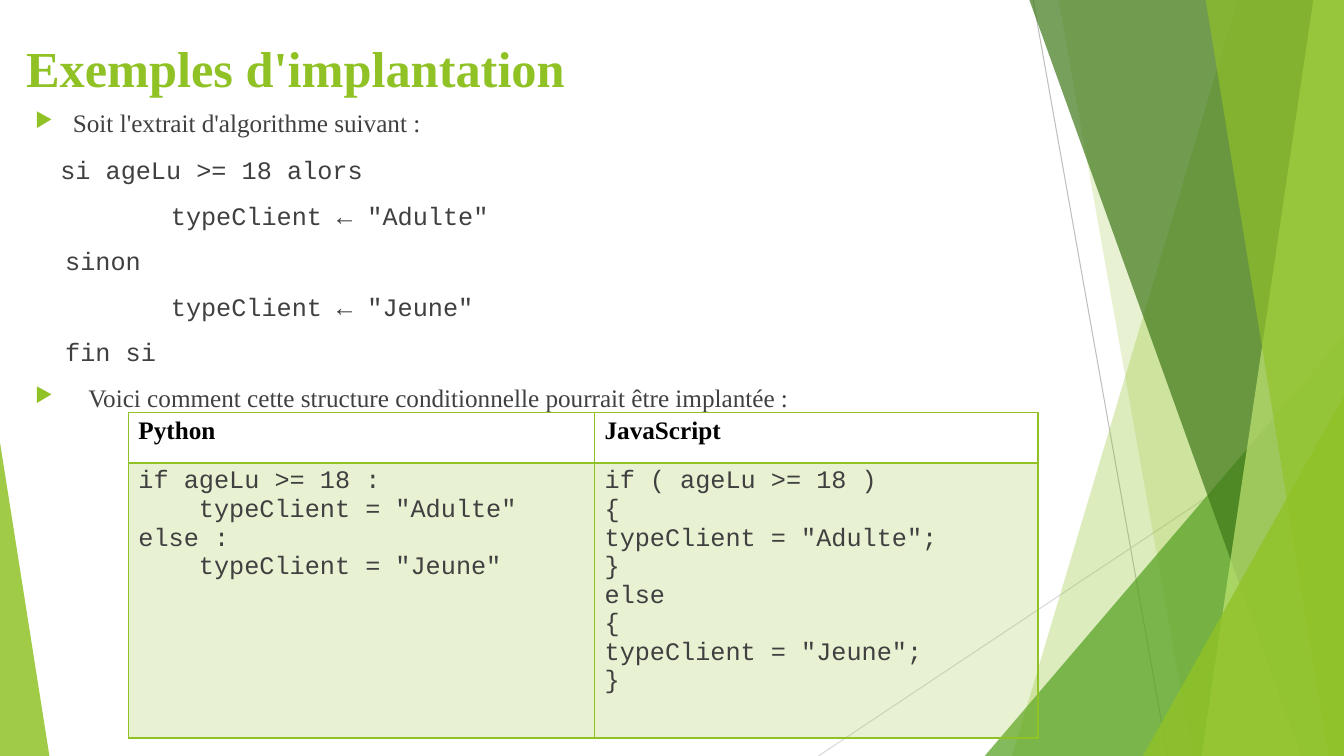
from lxml.etree import SubElement
from pptx import Presentation
from pptx.dml.color import RGBColor
from pptx.enum.shapes import MSO_CONNECTOR as Connector, MSO_SHAPE as Shape
from pptx.oxml import parse_xml
from pptx.oxml.ns import nsdecls, qn
from pptx.util import Pt

WIDTH, HEIGHT = 960, 540
GREEN, DARK, BLACK = "90C226", "404040", "000000"
SERIF, MONO = "Times New Roman", "Courier New"

# Algorithm lines: text, font, left margin, hanging indent, space before
ALGORITHM = [
    ("Soit l'extrait d'algorithme suivant :", SERIF, 27, 27, 10),
    ("si ageLu >= 18 alors", MONO, 18, 0, 12),
    ('typeClient ← "Adulte"', MONO, 97, 0, 11),
    ("sinon", MONO, 21.5, 0, 11),
    ('typeClient ← "Jeune"', MONO, 97, 0, 11),
    ("fin si", MONO, 21.5, 0, 11),
    ("Voici comment cette structure conditionnelle pourrait être implantée :",
     SERIF, 38, 38, 11),
]

# Code lines: text, indent level
PYTHON = [("if ageLu >= 18 :", 0), ('typeClient = "Adulte"', 1),
          ("else :", 0), ('typeClient = "Jeune"', 1)]
JAVASCRIPT = [(line, 0) for line in (
    "if ( ageLu >= 18 )", "{", 'typeClient = "Adulte";', "}",
    "else", "{", 'typeClient = "Jeune";', "}")]
CODE_INDENT = 43.2


def paint(fill, color, opacity=100):
    fill.solid()
    fill.fore_color.rgb = RGBColor.from_string(color)
    if opacity < 100:
        rgb = fill._xPr.find(".//" + qn("a:srgbClr"))
        SubElement(rgb, qn("a:alpha"), val=str(opacity * 1000))


def finish(shape, color, opacity):
    shape.shadow.inherit = False
    paint(shape.fill, color, opacity)
    shape.line.fill.background()


def add_ray(slide, start, end, color):
    ray = slide.shapes.add_connector(
        Connector.STRAIGHT, *(Pt(v) for v in start + end))
    paint(ray.line.fill, color)
    ray.line.width = Pt(0.75)
    SubElement(ray._element.spPr, qn("a:effectLst"))


def add_band(slide, top_x, bottom_x, color, opacity):
    """Area between a slanted edge and the right side of the slide."""
    top = Pt(-0.6)
    builder = slide.shapes.build_freeform(Pt(top_x), top)
    builder.add_line_segments([
        (Pt(WIDTH), top), (Pt(WIDTH), Pt(HEIGHT)), (Pt(bottom_x), Pt(HEIGHT))])
    finish(builder.convert_to_shape(), color, opacity)


def add_corner(slide, left, top, width, apex, color, opacity):
    """Triangle standing on the bottom edge of the slide."""
    corner = slide.shapes.add_shape(
        Shape.ISOSCELES_TRIANGLE, Pt(left), Pt(top), Pt(width), Pt(HEIGHT - top))
    corner.adjustments[0] = apex
    finish(corner, color, opacity)


def add_text_frame(slide, left, top, width, height):
    box = slide.shapes.add_textbox(Pt(left), Pt(top), Pt(width), Pt(height))
    box.text_frame.word_wrap = True
    return box.text_frame


def write(paragraph, text, font, size, color, bold=False):
    paragraph.text = text
    paragraph.font.name = font
    paragraph.font.size = Pt(size)
    paragraph.font.bold = bold
    paint(paragraph.font.fill, color)


def next_paragraph(frame, index):
    return frame.add_paragraph() if index else frame.paragraphs[0]


def indent(paragraph, margin, hanging=0):
    properties = paragraph._p.get_or_add_pPr()
    properties.set("marL", str(Pt(margin)))
    properties.set("indent", str(-Pt(hanging)))
    return properties


def add_bullet(properties):
    color = SubElement(properties, qn("a:buClr"))
    SubElement(color, qn("a:srgbClr"), val=GREEN)
    SubElement(properties, qn("a:buSzPct"), val="80000")
    SubElement(properties, qn("a:buChar"), char="▶")


def set_borders(cell, top, bottom):
    properties = cell._tc.get_or_add_tcPr()
    sides = [("lnL", 1), ("lnR", 1), ("lnT", top), ("lnB", bottom)]
    for position, (side, width) in enumerate(sides):
        properties.insert(position, parse_xml(
            f'<a:{side} {nsdecls("a")} w="{Pt(width)}"><a:solidFill>'
            f'<a:srgbClr val="{GREEN}"/></a:solidFill></a:{side}>'))


def add_decor(slide):
    add_ray(slide, (738, 0), (834, HEIGHT), "BFBFBF")
    add_ray(slide, (WIDTH, 290), (584.6, HEIGHT), "D9D9D9")
    add_band(slide, 884.2, 722.9, GREEN, 30)
    add_band(slide, 756, 851.8, GREEN, 20)
    add_corner(slide, 703.4, 239.8, 256.6, 1, "54A021", 72)
    add_band(slide, 735.1, 929.5, "3F7819", 70)
    add_band(slide, 938.2, 858.2, "C0E474", 70)
    add_band(slide, 861.1, 949, GREEN, 65)
    add_corner(slide, 816.5, 283, 143.5, 1, GREEN, 80)
    add_corner(slide, 0, 316, 35.3, 0, GREEN, 85)


def add_algorithm(slide):
    frame = add_text_frame(slide, 18, 73, 742, 403)
    for index, (text, font, margin, hanging, before) in enumerate(ALGORITHM):
        line = next_paragraph(frame, index)
        properties = indent(line, margin, hanging)
        if hanging:
            add_bullet(properties)
        line.space_before = Pt(before)
        write(line, text, font, 18, DARK)


def add_code_table(slide):
    table = slide.shapes.add_table(
        2, 2, Pt(91.7), Pt(294.6), Pt(649.8), Pt(232.6)).table
    table.horz_banding = False
    for column, width in zip(table.columns, (333, 316.8)):
        column.width = Pt(width)
    for row, height in zip(table.rows, (36, 196.6)):
        row.height = Pt(height)

    languages = [("Python", PYTHON), ("JavaScript", JAVASCRIPT)]
    for column, (language, code) in enumerate(languages):
        header, body = table.cell(0, column), table.cell(1, column)
        write(header.text_frame.paragraphs[0], language, SERIF, 18, BLACK, True)
        header.fill.background()
        set_borders(header, 1, 2)
        for index, (text, level) in enumerate(code):
            line = next_paragraph(body.text_frame, index)
            indent(line, level * CODE_INDENT)
            write(line, text, MONO, 18, DARK)
        paint(body.fill, GREEN, 20)
        set_borders(body, 2, 1)


def main():
    deck = Presentation()
    deck.slide_width, deck.slide_height = Pt(WIDTH), Pt(HEIGHT)
    slide = deck.slides.add_slide(deck.slide_layouts[6])

    add_decor(slide)
    title = add_text_frame(slide, 11.5, 23, 677, 104)
    write(title.paragraphs[0], "Exemples d'implantation", SERIF, 36, GREEN, True)
    add_algorithm(slide)
    add_code_table(slide)

    deck.save("out.pptx")


main()
